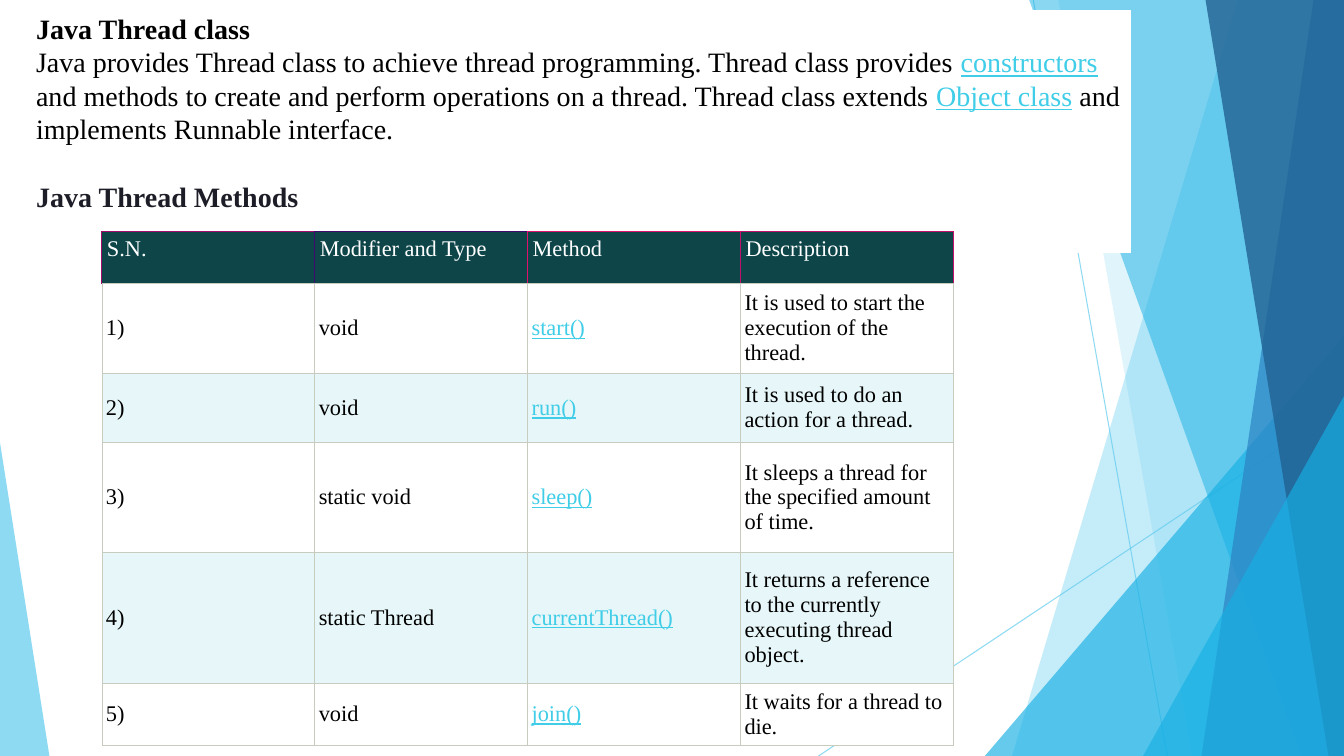
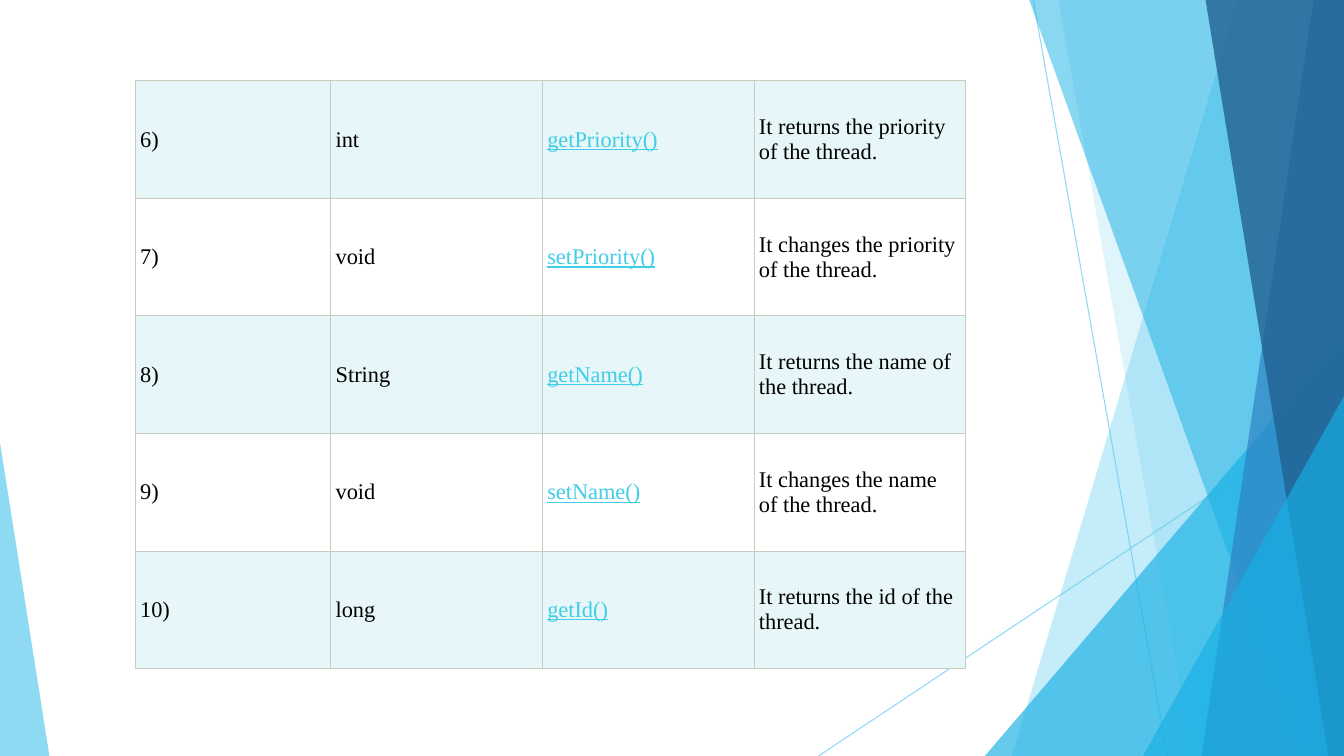
import pptx
import pptx.util
import pptx.dml.color
import pptx.enum.shapes
import pptx.enum.text
import pptx.oxml.ns
from lxml import etree

WIDE = pptx.util.Inches(13.333)
HIGH = pptx.util.Inches(7.5)
FONT = "Times New Roman"
HUES = {
    "sky": "5FCBEF", "cyan": "17B0E4", "blue": "2E83C3", "navy": "226292",
    "white": "FFFFFF", "black": "000000", "ink": "1D1D27", "link": "3FCDE7",
    "head": "0D4549", "tint": "E7F6F8", "rule": "C7CCBE",
    "wine": "A00C6C", "plum": "400A6C", "pink": "E0106C", "rose": "C0106C",
}
# Corner at the top left, corner at the bottom left, hue, opacity
BANDS = [
    (92.1, 75.3, "sky", 36),
    (78.75, 88.73, "sky", 20),
    (76.58, 96.83, "cyan", 50),
    (97.73, 89.4, "blue", 70),
    (89.7, 98.85, "navy", 80),
]
HEAD = ["S.N.", "Modifier and Type", "Method", "Description"]
EDGES = ["wine", "plum", "pink", "rose", "rose"]
FIRST = [
    ["1)", "void", "start()", "It is used to start the execution of the thread."],
    ["2)", "void", "run()", "It is used to do an action for a thread."],
    ["3)", "static void", "sleep()",
     "It sleeps a thread for the specified amount of time."],
    ["4)", "static Thread", "currentThread()",
     "It returns a reference to the currently executing thread object."],
    ["5)", "void", "join()", "It waits for a thread to die."],
]
SECOND = [
    ["6)", "int", "getPriority()", "It returns the priority of the thread."],
    ["7)", "void", "setPriority()", "It changes the priority of the thread."],
    ["8)", "String", "getName()", "It returns the name of the thread."],
    ["9)", "void", "setName()", "It changes the name of the thread."],
    ["10)", "long", "getId()", "It returns the id of the thread."],
]


def across(share):
    """Percent of the slide's width."""
    return pptx.util.Emu(round(WIDE * share / 100))


def down(share):
    """Percent of the slide's height."""
    return pptx.util.Emu(round(HIGH * share / 100))


def place(left, top, width, height):
    return across(left), down(top), across(width), down(height)


def tone(name):
    return pptx.dml.color.RGBColor.from_string(HUES[name])


def node(root, tag, **attrs):
    return etree.SubElement(root, pptx.oxml.ns.qn(tag), **attrs)


def fade(shape, alpha):
    """Set the opacity, in percent, of every colour in the shape."""
    for clr in list(shape._element.spPr.iter(pptx.oxml.ns.qn("a:srgbClr"))):
        node(clr, "a:alpha", val=str(alpha * 1000))


def paint(shape, hue, alpha=None):
    shape.shadow.inherit = False
    shape.fill.solid()
    shape.fill.fore_color.rgb = tone(hue)
    shape.line.fill.background()
    if alpha:
        fade(shape, alpha)


def write(para, text, size=16, hue="black", bold=False, under=False):
    run = para.add_run()
    run.text = text
    font = run.font
    font.name, font.size = FONT, pptx.util.Pt(size)
    font.bold, font.underline = bold, under
    font.color.rgb = tone(hue)


def add_line(slide, x1, y1, x2, y2):
    line = slide.shapes.add_connector(
        pptx.enum.shapes.MSO_CONNECTOR.STRAIGHT,
        across(x1), down(y1), across(x2), down(y2))
    line.line.color.rgb = tone("sky")
    line.line.width = pptx.util.Pt(0.75)
    fade(line, 70)
    node(line._element.spPr, "a:effectLst")


def add_band(slide, top, foot, hue, alpha):
    """Draw a band with a slanted left side, reaching the right edge."""
    form = slide.shapes.build_freeform(across(top), 0, scale=1.0)
    form.add_line_segments(
        [(WIDE, 0), (WIDE, HIGH), (across(foot), HIGH)], close=True)
    paint(form.convert_to_shape(), hue, alpha)


def add_wedge(slide, left, top, width, peak, hue, alpha):
    """Draw a triangle standing on the slide's bottom edge."""
    wedge = slide.shapes.add_shape(
        pptx.enum.shapes.MSO_SHAPE.ISOSCELES_TRIANGLE,
        *place(left, top, width, 100 - top))
    wedge.adjustments[0] = peak
    paint(wedge, hue, alpha)


def add_slide(deck):
    """Add a blank slide with the shared backdrop."""
    slide = deck.slides.add_slide(deck.slide_layouts[6])
    add_line(slide, 76.88, 0, 86.86, 100)
    add_line(slide, 100, 53.73, 60.9, 100)
    for band in BANDS[:2]:
        add_band(slide, *band)
    add_wedge(slide, 73.28, 44.4, 26.72, 1, "cyan", 66)
    for band in BANDS[2:]:
        add_band(slide, *band)
    add_wedge(slide, 85.05, 52.4, 14.95, 1, "cyan", 66)
    add_wedge(slide, 0, 58.53, 3.68, 0, "sky", 70)
    return slide


def add_intro(slide):
    box = slide.shapes.add_textbox(*place(1.95, 1.33, 82.2, 32.13))
    paint(box, "white")
    frame = box.text_frame
    frame.word_wrap = True
    frame.margin_top = pptx.util.Inches(0.01)
    link = {"hue": "link", "under": True}
    paras = [
        [("Java Thread class", {"bold": True})],
        [("Java provides Thread class to achieve thread programming. "
          "Thread class provides ", {}),
         ("constructors", link),
         (" and methods to create and perform operations on a thread. "
          "Thread class extends ", {}),
         ("Object class", link),
         (" and implements Runnable interface.", {})],
        [("Java Thread Methods", {"bold": True, "hue": "ink"})],
    ]
    for i, runs in enumerate(paras):
        para = frame.add_paragraph() if i else frame.paragraphs[0]
        para.line_spacing = pptx.util.Pt(24)
        for text, form in runs:
            write(para, text, size=20, **form)
    para.space_before = pptx.util.Pt(24)


def border(cell, sides):
    """Draw the four sides, given as (hue, points) in order L, R, T, B."""
    props = cell._tc.get_or_add_tcPr()
    for side, (hue, width) in zip("LRTB", sides):
        line = node(props, "a:ln" + side, w=str(pptx.util.Pt(width)))
        node(node(line, "a:solidFill"), "a:srgbClr", val=HUES[hue])


def fill_cell(cell, text, back, sides, pad, middle=True, **form):
    border(cell, sides)
    cell.fill.solid()
    cell.fill.fore_color.rgb = tone(back)
    cell.margin_left = cell.margin_right = pptx.util.Inches(pad)
    cell.margin_top = cell.margin_bottom = pptx.util.Inches(pad)
    anchor = pptx.enum.text.MSO_ANCHOR
    cell.vertical_anchor = anchor.MIDDLE if middle else anchor.TOP
    write(cell.text_frame.paragraphs[0], text, **form)


def add_grid(slide, left, top, cols, rows, body, pad, head=None):
    """Add a table of methods; cols and rows are shares of the slide."""
    grid = slide.shapes.add_table(
        len(rows), len(cols),
        *place(left, top, sum(cols), sum(rows))).table
    grid.first_row = grid.horz_banding = False
    for col, width in zip(grid.columns, cols):
        col.width = across(width)
    for row, height in zip(grid.rows, rows):
        row.height = down(height)
    rule = ("rule", 0.6)
    for c, text in enumerate(head or []):
        near, far = (EDGES[c], 1), (EDGES[c + 1], 1)
        fill_cell(grid.cell(0, c), text, "head", [near, far, near, rule],
                  0.05, middle=False, hue="white")
    start = 1 if head else 0
    for r, texts in enumerate(body, start):
        for c, text in enumerate(texts):
            method = c == HEAD.index("Method")
            fill_cell(grid.cell(r, c), text, "white" if r % 2 else "tint",
                      [rule] * 4, pad, under=method,
                      hue="link" if method else "black")


def main():
    deck = pptx.Presentation()
    deck.slide_width, deck.slide_height = WIDE, HIGH

    slide = add_slide(deck)
    add_intro(slide)
    add_grid(slide, 7.58, 30.67, [15.84] * 4,
             [6.8, 11.87, 9.2, 14.53, 17.3, 8], FIRST, 0.04, head=HEAD)

    slide = add_slide(deck)
    add_grid(slide, 10.05, 10.67, [14.55] + [15.75] * 3,
             [15.55] * 5, SECOND, 0.05)

    deck.save("out.pptx")


if __name__ == "__main__":
    main()
